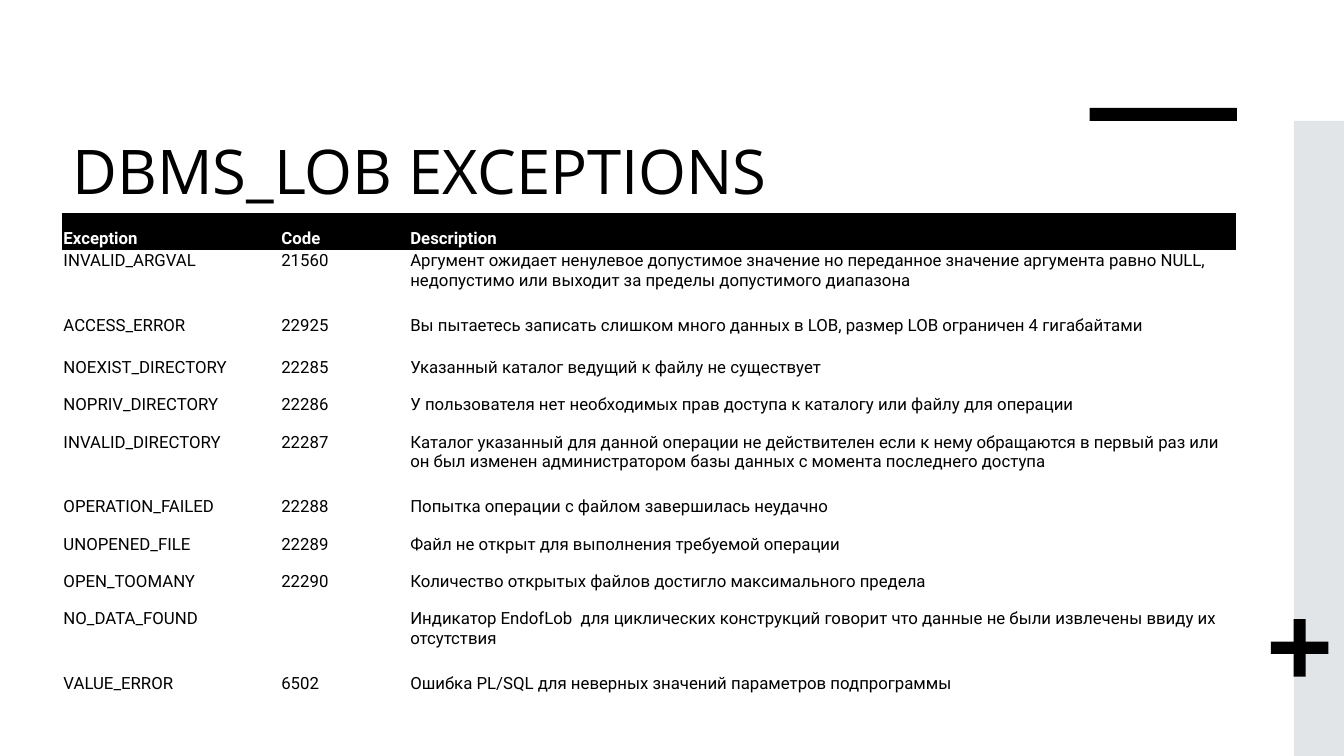
from pptx import Presentation
from pptx import util as u
from pptx.dml import color
from pptx.enum import shapes, text

COLORS = {"ink": "000000", "paper": "FFFFFF", "band": "E2E5E8"}
TITLE_FONT = "Open Sans"
TABLE_FONT = "Roboto"
PLAIN_TABLE_STYLE = "{2D5ABB26-0587-4C30-8999-92F81FD0307C}"

HEADERS = ("Exception", "Code", "Description")
SHORT, MEDIUM, TALL = 0.94, 1.06, 1.63
EXCEPTIONS = [
    (TALL, "INVALID_ARGVAL", "21560",
     "Аргумент ожидает ненулевое допустимое значение но переданное значение аргумента равно NULL, "
     "недопустимо или выходит за пределы допустимого диапазона"),
    (MEDIUM, "ACCESS_ERROR", "22925",
     "Вы пытаетесь записать слишком много данных в LOB, размер LOB ограничен 4 гигабайтами"),
    (SHORT, "NOEXIST_DIRECTORY", "22285", "Указанный каталог ведущий к файлу не существует"),
    (SHORT, "NOPRIV_DIRECTORY", "22286",
     "У пользователя нет необходимых прав доступа к каталогу или файлу для операции"),
    (TALL, "INVALID_DIRECTORY", "22287",
     "Каталог указанный для данной операции не действителен если к нему обращаются в первый раз "
     "или он был изменен администратором базы данных с момента последнего доступа"),
    (SHORT, "OPERATION_FAILED", "22288", "Попытка операции с файлом завершилась неудачно"),
    (SHORT, "UNOPENED_FILE", "22289", "Файл не открыт для выполнения требуемой операции"),
    (SHORT, "OPEN_TOOMANY", "22290", "Количество открытых файлов достигло максимального предела"),
    (TALL, "NO_DATA_FOUND", "",
     "Индикатор EndofLob\u00a0 для циклических конструкций говорит что данные не были извлечены "
     "ввиду их отсутствия"),
    (SHORT, "VALUE_ERROR", "6502", "Ошибка PL/SQL для неверных значений параметров подпрограммы"),
]


def rgb(name):
    return color.RGBColor.from_string(COLORS[name])


def write(frame, words, font=TABLE_FONT, size=12, ink="ink", bold=False, spacing=1.0):
    paragraph = frame.paragraphs[0]
    paragraph.alignment = text.PP_ALIGN.LEFT
    paragraph.line_spacing = spacing
    paragraph.font.size = u.Pt(size)
    if words:
        run = paragraph.add_run()
        run.text = words
        run.font.name = font
        run.font.size = u.Pt(size)
        run.font.bold = bold
        run.font.color.rgb = rgb(ink)


class SlideBuilder:
    def __init__(self, slide):
        self.slide = slide

    def title(self, words, left, top, width, height):
        shape = self.slide.shapes.title
        shape.left, shape.top = u.Cm(left), u.Cm(top)
        shape.width, shape.height = u.Cm(width), u.Cm(height)
        frame = shape.text_frame
        frame.word_wrap = True
        frame.auto_size = text.MSO_AUTO_SIZE.NONE
        frame.vertical_anchor = text.MSO_ANCHOR.TOP
        write(frame, words, font=TITLE_FONT, size=44, spacing=0.95)

    def block(self, fill, left, top, width, height, kind=shapes.MSO_SHAPE.RECTANGLE):
        shape = self.slide.shapes.add_shape(kind, u.Cm(left), u.Cm(top), u.Cm(width), u.Cm(height))
        shape.shadow.inherit = False
        shape.fill.solid()
        shape.fill.fore_color.rgb = rgb(fill)
        shape.line.fill.background()
        return shape

    def cell(self, cell, words, header):
        cell.margin_left = cell.margin_right = u.Cm(0.03)
        cell.margin_top = cell.margin_bottom = u.Cm(0.03)
        if header:
            cell.fill.solid()
            cell.fill.fore_color.rgb = rgb("ink")
            cell.vertical_anchor = text.MSO_ANCHOR.BOTTOM
        else:
            cell.fill.background()
            cell.vertical_anchor = text.MSO_ANCHOR.TOP
        write(cell.text_frame, words, ink="paper" if header else "ink", bold=header)

    def table(self, headers, rows, left, top, widths):
        lines = [(SHORT, *headers), *rows]
        height = sum(line[0] for line in lines)
        table = self.slide.shapes.add_table(
            len(lines), len(widths), u.Cm(left), u.Cm(top), u.Cm(sum(widths)), u.Cm(height)).table
        table.horz_banding = False
        table._tbl.tblPr[0].text = PLAIN_TABLE_STYLE
        for column, width in zip(table.columns, widths):
            column.width = u.Cm(width)
        for number, (row, (row_height, *words)) in enumerate(zip(table.rows, lines)):
            row.height = u.Cm(row_height)
            for cell, entry in zip(row.cells, words):
                self.cell(cell, entry, header=number == 0)


presentation = Presentation()
presentation.slide_width, presentation.slide_height = u.Cm(33.87), u.Cm(19.05)
builder = SlideBuilder(presentation.slides.add_slide(presentation.slide_layouts[5]))

builder.title("DBMS_LOB EXCEPTIONS", 1.57, 3.35, 22.96, 4.01)
builder.block("band", 32.61, 3.05, 1.26, 16)
builder.block("ink", 27.46, 2.72, 3.71, 0.33)
plus = builder.block("ink", 32.03, 15.6, 1.45, 1.45, shapes.MSO_SHAPE.CROSS)
plus.adjustments[0] = 0.395
builder.table(HEADERS, EXCEPTIONS, 1.57, 5.36, (5.49, 3.25, 20.85))

presentation.save("out.pptx")
